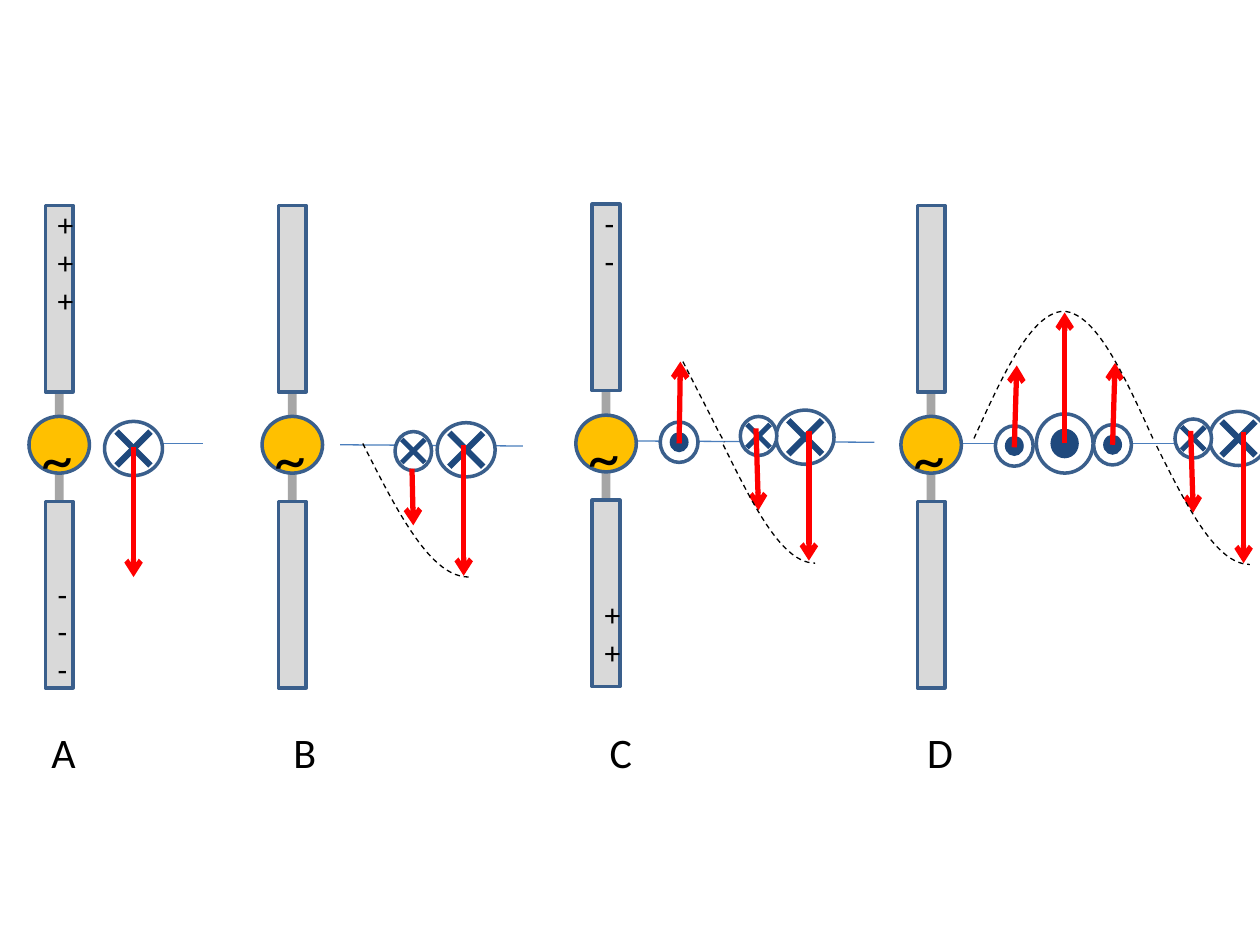
from math import pi, sin

from lxml.etree import SubElement
from pptx import Presentation
from pptx.dml.color import RGBColor
from pptx.enum.dml import MSO_LINE
from pptx.enum.shapes import MSO_CONNECTOR, MSO_SHAPE
from pptx.enum.text import MSO_ANCHOR
from pptx.oxml.ns import qn
from pptx.util import Inches, Pt

EDGE, NAVY, BLUE, RED = "3A5F8C", "1F497D", "4B7EBC", "FF0000"
hue = RGBColor.from_string

deck = Presentation()
deck.slide_width, deck.slide_height = Inches(10), Inches(7.5)
shapes = deck.slides.add_slide(deck.slide_layouts[6]).shapes


def draw(kind, mid, size, fill, line=None, turn=0):
    """Add a flat shape centred on mid."""
    (x, y), (w, h) = mid, size
    shape = shapes.add_shape(kind, Inches(x - w / 2), Inches(y - h / 2), Inches(w), Inches(h))
    shape.shadow.inherit = False
    shape.rotation = turn
    shape.fill.solid()
    shape.fill.fore_color.rgb = hue(fill)
    if line:
        shape.line.color.rgb = hue(line)
        shape.line.width = Pt(2)
    else:
        shape.line.fill.background()
    return shape


def write(shape, text, size=18, wrap=True, anchor=MSO_ANCHOR.TOP, top=0.05, bottom=0.05, tabs=()):
    frame = shape.text_frame
    frame.word_wrap = wrap
    frame.vertical_anchor = anchor
    frame.margin_top, frame.margin_bottom = Inches(top), Inches(bottom)
    para = frame.paragraphs[0]
    if tabs:
        stops = SubElement(para._p.get_or_add_pPr(), qn("a:tabLst"))
        for tab in tabs:
            SubElement(stops, qn("a:tab"), pos=str(Inches(tab)), algn="l")
    run = para.add_run()
    run.text = text
    run.font.name = "Calibri"
    run.font.size = Pt(size)
    run.font.color.rgb = hue("000000")


# Field axes, then arrows: start, end
axes = [
    (0.86, 3.52, 1.61, 3.52),
    (2.7, 3.53, 4.15, 3.54),
    (5.04, 3.5, 6.94, 3.51),
    (7.62, 3.52, 10, 3.52),
]
arrows = [
    (1.06, 3.55, 1.06, 4.58),
    (3.68, 3.53, 3.68, 4.57),
    (3.27, 3.72, 3.28, 4.17),
    (6.42, 3.42, 6.42, 4.45),
    (5.39, 3.52, 5.4, 2.87),
    (6, 3.4, 6.02, 4.05),
    (9.87, 3.43, 9.87, 4.47),
    (8.45, 3.52, 8.45, 2.48),
    (8.83, 3.53, 8.85, 2.88),
    (9.45, 3.42, 9.47, 4.07),
    (8.05, 3.55, 8.07, 2.9),
]
links = []
for ends in axes + arrows:
    link = shapes.add_connector(MSO_CONNECTOR.STRAIGHT, *map(Inches, ends))
    SubElement(link._element.spPr, qn("a:effectLst"))
    is_axis = ends in axes
    link.line.color.rgb = hue(BLUE if is_axis else RED)
    link.line.width = Pt(0.75 if is_axis else 3)
    if not is_axis:
        SubElement(link.line._get_or_add_ln(), qn("a:tailEnd"), type="arrow")
        links.append(link)

# Dipoles: centre, charges on the upper and lower arm, gap below the lower charges
dipoles = [
    (0.47, 3.53, "+++", "---", 0),
    (2.32, 3.53, "", "", 0),
    (4.81, 3.52, "--", "++", 0.13),
    (7.39, 3.53, "", "", 0),
]
for x, y, upper, lower, gap in dipoles:
    draw(MSO_SHAPE.RECTANGLE, (x, y), (0.07, 1.1), "A6A6A6")
    draw(MSO_SHAPE.OVAL, (x, y), (0.48, 0.45), "FFC000", EDGE)
    wave = shapes.add_textbox(Inches(x - 0.24), Inches(y - 0.26), Inches(0.45), Inches(0.71))
    write(wave, "~", size=36, wrap=False)
    for text, shift, anchor in ((upper, -1.16, MSO_ANCHOR.TOP), (lower, 1.19, MSO_ANCHOR.BOTTOM)):
        arm = draw(MSO_SHAPE.RECTANGLE, (x, y + shift), (0.22, 1.48), "D9D9D9", EDGE)
        if text:
            write(arm, text, anchor=anchor, top=0, bottom=gap)

# Field pointing in: ring with a cross
big = (0.46, 0.43), (0.38, 0.05)
small = (0.29, 0.31), (0.26, 0.04)
crosses = [
    (1.06, 3.56, big),
    (3.7, 3.57, big),
    (3.28, 3.58, small),
    (6.39, 3.47, big),
    (6.02, 3.46, small),
    (9.83, 3.48, big),
    (9.47, 3.48, small),
]
for x, y, (ring, bar) in crosses:
    draw(MSO_SHAPE.OVAL, (x, y), ring, "FFFFFF", EDGE)
    for turn in (45, 135):
        draw(MSO_SHAPE.RECTANGLE, (x, y), bar, NAVY, turn=turn)

# Field pointing out: ring with a dot of half its size
dots = [
    (5.39, 3.51, 0.3, 0.32),
    (8.05, 3.54, 0.3, 0.32),
    (8.45, 3.52, 0.45, 0.47),
    (8.83, 3.53, 0.3, 0.32),
]
for x, y, w, h in dots:
    draw(MSO_SHAPE.OVAL, (x, y), (w, h), "FFFFFF", EDGE)
    draw(MSO_SHAPE.OVAL, (x, y), (w / 2, h / 2), NAVY)

# Arrows go in front of the rings
for link in links:
    shapes._spTree.append(link._element)

# Field curves: quarter sine waves from the axis to the peak, and one falling flank
quarters = [
    (2.88, 3.52, 3.72, 4.58),
    (5.74, 3.53, 6.47, 4.47),
    (9.18, 3.54, 9.92, 4.48),
    (9.15, 3.48, 8.43, 2.47),
    (7.73, 3.48, 8.45, 2.47),
]
curves = [[(5.42, 2.87), (5.64, 3.3), (5.7, 3.42), (5.75, 3.51)]]
steps = 24
for x, y, far, peak in quarters:
    curves.append([
        (x + (far - x) * i / steps, y + (peak - y) * sin(pi / 2 * i / steps))
        for i in range(steps + 1)
    ])
for curve in curves:
    points = [(Inches(x), Inches(y)) for x, y in curve]
    path = shapes.build_freeform(*points[0])
    path.add_line_segments(points[1:], close=False)
    wave = path.convert_to_shape()
    wave.shadow.inherit = False
    wave.fill.background()
    wave.line.color.rgb = hue("000000")
    wave.line.width = Pt(0.75)
    wave.line.dash_style = MSO_LINE.DASH

names = shapes.add_textbox(Inches(0.31), Inches(5.72), Inches(7.45), Inches(0.5))
write(names, "A\tB\tC\tD", size=24, tabs=(1.92, 4.43, 6.95))

deck.save("out.pptx")
